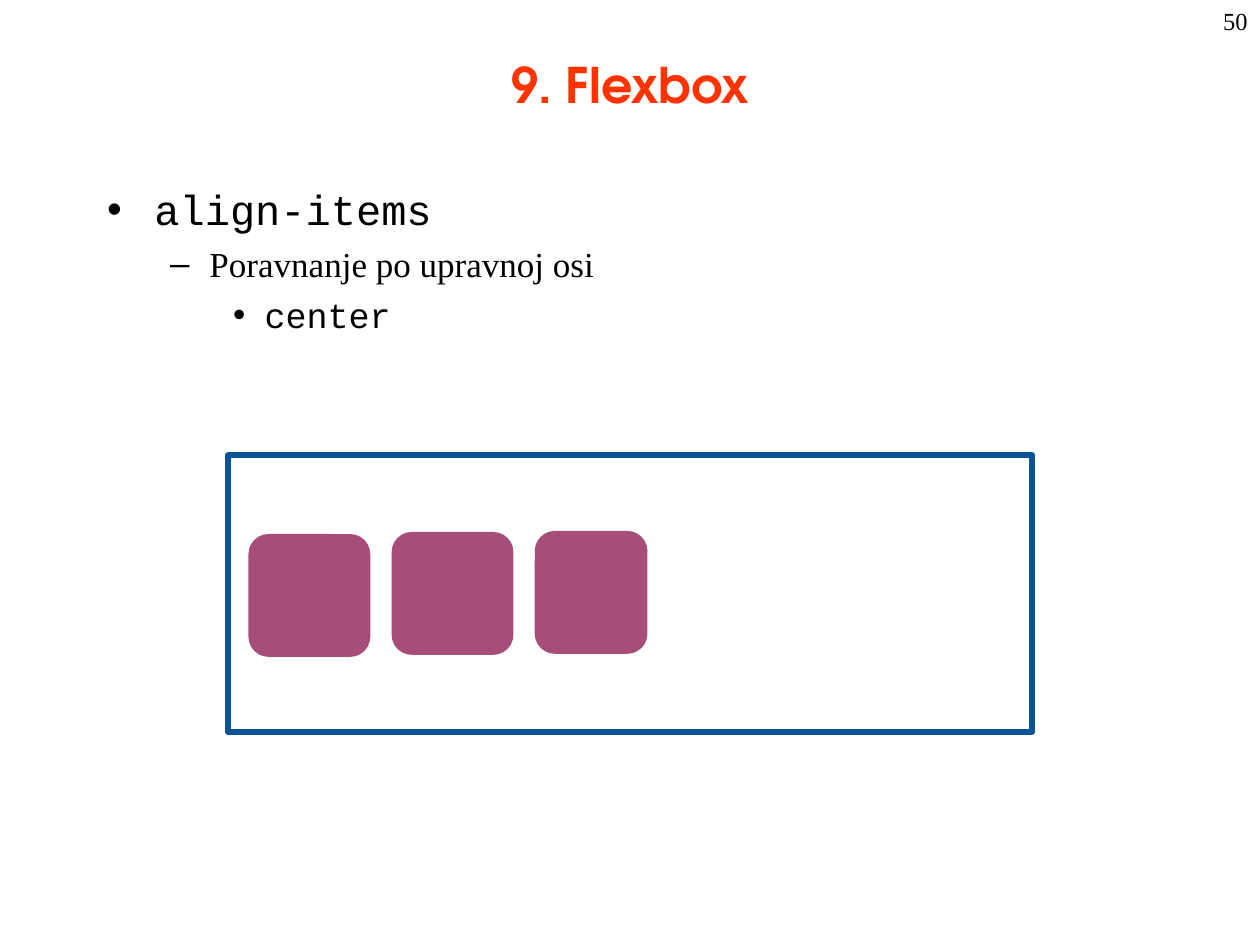
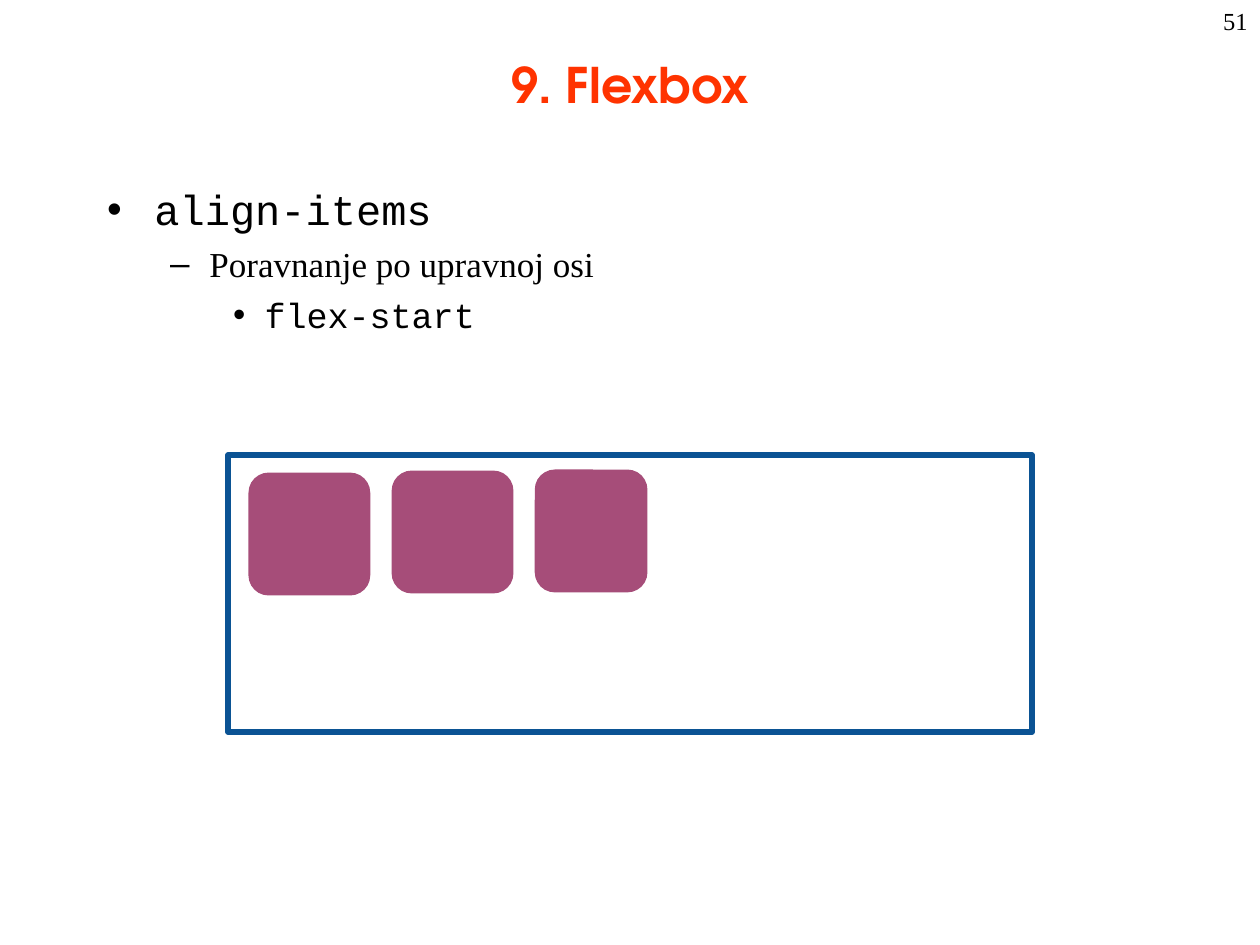
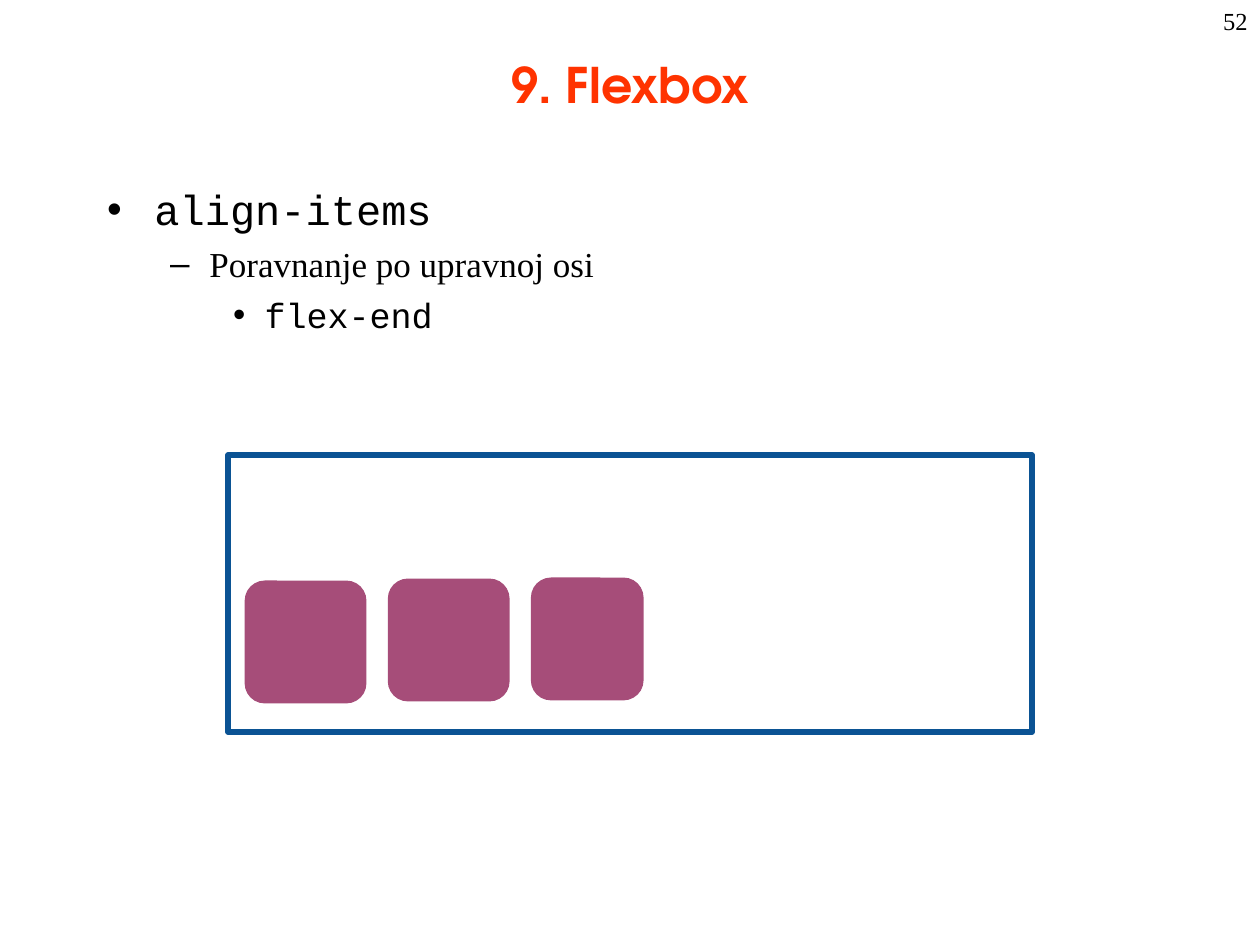
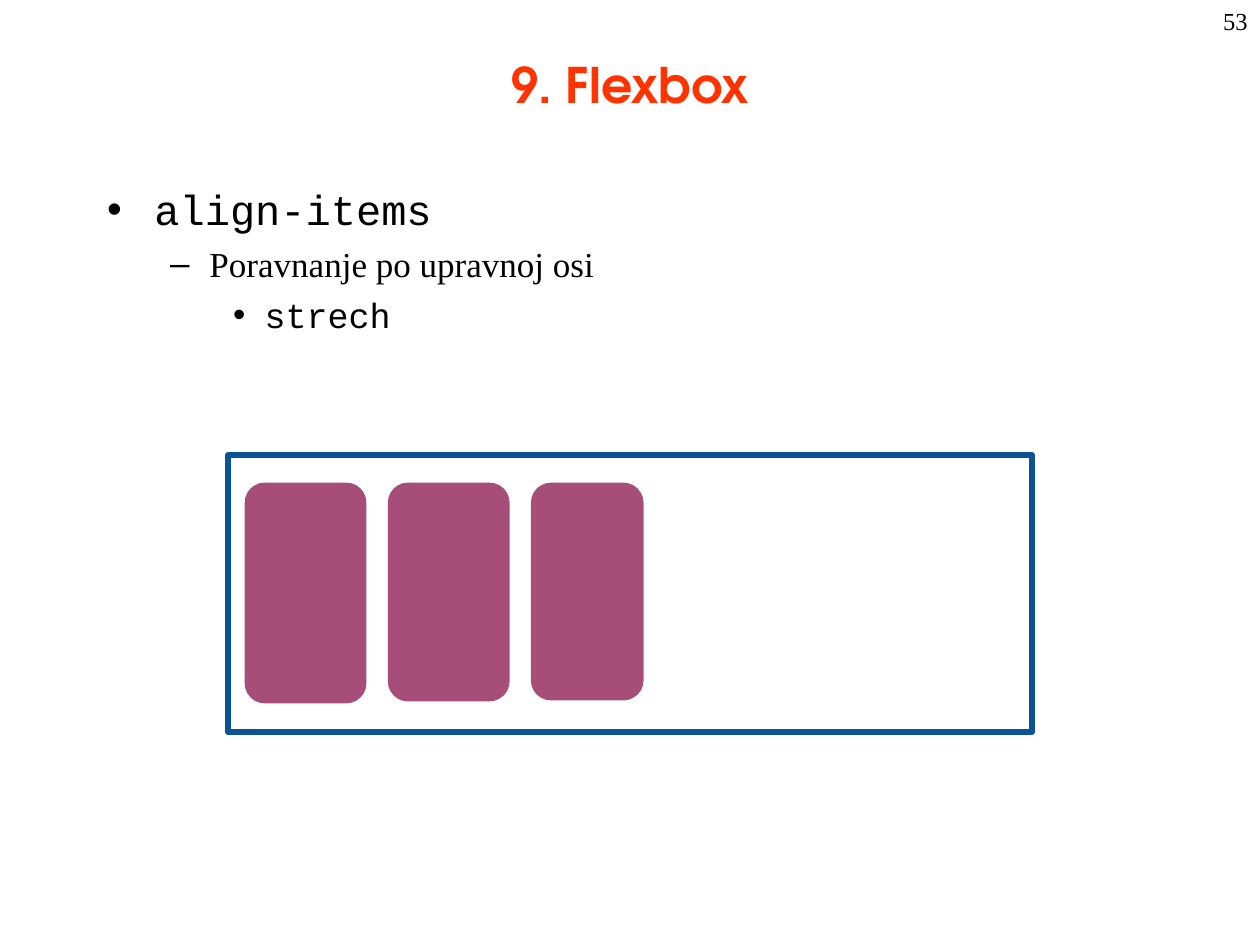
from dataclasses import dataclass

from lxml.etree import SubElement
from pptx import Presentation
from pptx.dml.color import RGBColor
from pptx.enum.shapes import MSO_SHAPE as Shape
from pptx.enum.text import MSO_ANCHOR as Anchor, MSO_AUTO_SIZE as AutoSize, PP_ALIGN as Align
from pptx.oxml.ns import qn
from pptx.util import Pt


# Colours, fonts and type sizes
@dataclass(frozen=True)
class Theme:
    title_color: str = "FF3300"
    text_color: str = "000000"
    paper: str = "FFFFFF"
    frame_line: str = "0B5394"
    item_fill: str = "A64D79"
    title_font: str = "TeX Gyre Adventor"
    text_font: str = "Times New Roman"
    code_font: str = "Courier New"
    title_size: float = 28
    lead_size: float = 24
    list_size: float = 20
    number_size: float = 14


THEME = Theme()


@dataclass(frozen=True)
class ListLevel:
    bullet: str
    margin: float
    hanging: float
    space_before: float
    font: str
    size: float


LEVELS = (
    ListLevel("•", 27, 27, 0, THEME.code_font, THEME.lead_size),
    ListLevel("–", 58.5, 22.5, 5, THEME.text_font, THEME.list_size),
    ListLevel("•", 90, 18, 5, THEME.code_font, THEME.list_size),
)


# One align-items value and the place of its items
@dataclass(frozen=True)
class AlignCase:
    value: str
    left: float
    top: float
    stretched: bool = False


CASES = (
    AlignCase("center", 142, 303.4),
    AlignCase("flex-start", 142, 268.3),
    AlignCase("flex-end", 139.8, 330),
    AlignCase("strech", 139.8, 275.8, stretched=True),
)

FIRST_PAGE = 50
ITEM_WIDTHS = (69.6, 69.6, 64.4)
ITEM_DROPS = (1.75, 0.6, 0)
ITEM_GAP = 12.2
ITEM_HEIGHT = 70.2
STRETCHED_HEIGHT = 124.4
CORNER_RADIUS = 11.5


def color(code):
    return RGBColor.from_string(code)


def place(box, left, top, width, height):
    box.left, box.top = Pt(left), Pt(top)
    box.width, box.height = Pt(width), Pt(height)


def write(para, text, font, size, shade=THEME.text_color, bold=False):
    para.text = text
    for span in para.runs:
        span.font.name = font
        span.font.size = Pt(size)
        span.font.bold = bold
        span.font.color.rgb = color(shade)


def set_bullet(para, level):
    properties = para._p.get_or_add_pPr()
    properties.set("marL", str(Pt(level.margin)))
    properties.set("indent", str(-Pt(level.hanging)))
    bullet_color = SubElement(properties, qn("a:buClr"))
    SubElement(bullet_color, qn("a:srgbClr"), val=THEME.text_color)
    SubElement(properties, qn("a:buChar"), char=level.bullet)


def add_title(page, text):
    box = page.shapes.title
    place(box, 54, 5.76, 612, 84.24)
    frame = box.text_frame
    frame.auto_size = AutoSize.NONE
    frame.vertical_anchor = Anchor.MIDDLE
    para = frame.paragraphs[0]
    para.alignment = Align.CENTER
    write(para, text, THEME.title_font, THEME.title_size, THEME.title_color, bold=True)


def add_list(page, lines):
    box = page.placeholders[1]
    place(box, 54, 95.76, 623.5, 174.24)
    frame = box.text_frame
    frame.auto_size = AutoSize.NONE
    frame.margin_top = Pt(9)
    frame.text = "\n".join(lines)
    for depth, (para, level) in enumerate(zip(frame.paragraphs, LEVELS)):
        para.level = depth
        para.space_before = Pt(level.space_before)
        set_bullet(para, level)
        write(para, lines[depth], level.font, level.size)


def add_page_number(page, number):
    box = page.shapes.add_textbox(Pt(570), Pt(0), Pt(150), Pt(36))
    box.text_frame.word_wrap = True
    para = box.text_frame.paragraphs[0]
    para.alignment = Align.RIGHT
    write(para, str(number), THEME.text_font, THEME.number_size)


def add_block(page, kind, left, top, width, height, fill):
    block = page.shapes.add_shape(kind, Pt(left), Pt(top), Pt(width), Pt(height))
    block.shadow.inherit = False
    block.fill.solid()
    block.fill.fore_color.rgb = color(fill)
    block.line.fill.background()
    return block


def add_container(page):
    container = add_block(page, Shape.RECTANGLE, 130.3, 260, 459.4, 158.4, THEME.paper)
    container.line.color.rgb = color(THEME.frame_line)
    container.line.width = Pt(3)


def add_items(page, case):
    left = case.left
    for width, drop in zip(ITEM_WIDTHS, ITEM_DROPS):
        # Stretched items share a top edge; the others share a height
        if case.stretched:
            top, height = case.top, STRETCHED_HEIGHT + drop
        else:
            top, height = case.top + drop, ITEM_HEIGHT
        item = add_block(page, Shape.ROUNDED_RECTANGLE, left, top, width, height, THEME.item_fill)
        item.adjustments[0] = CORNER_RADIUS / min(width, height)
        left += width + ITEM_GAP


def main():
    deck = Presentation()
    deck.slide_width, deck.slide_height = Pt(720), Pt(540)
    background = deck.slide_master.background.fill
    background.solid()
    background.fore_color.rgb = color(THEME.paper)

    for number, case in enumerate(CASES, FIRST_PAGE):
        page = deck.slides.add_slide(deck.slide_layouts[1])
        add_title(page, "9. Flexbox")
        add_list(page, ("align-items", "Poravnanje po upravnoj osi", case.value))
        add_page_number(page, number)
        add_container(page)
        add_items(page, case)

    deck.save("out.pptx")


if __name__ == "__main__":
    main()
